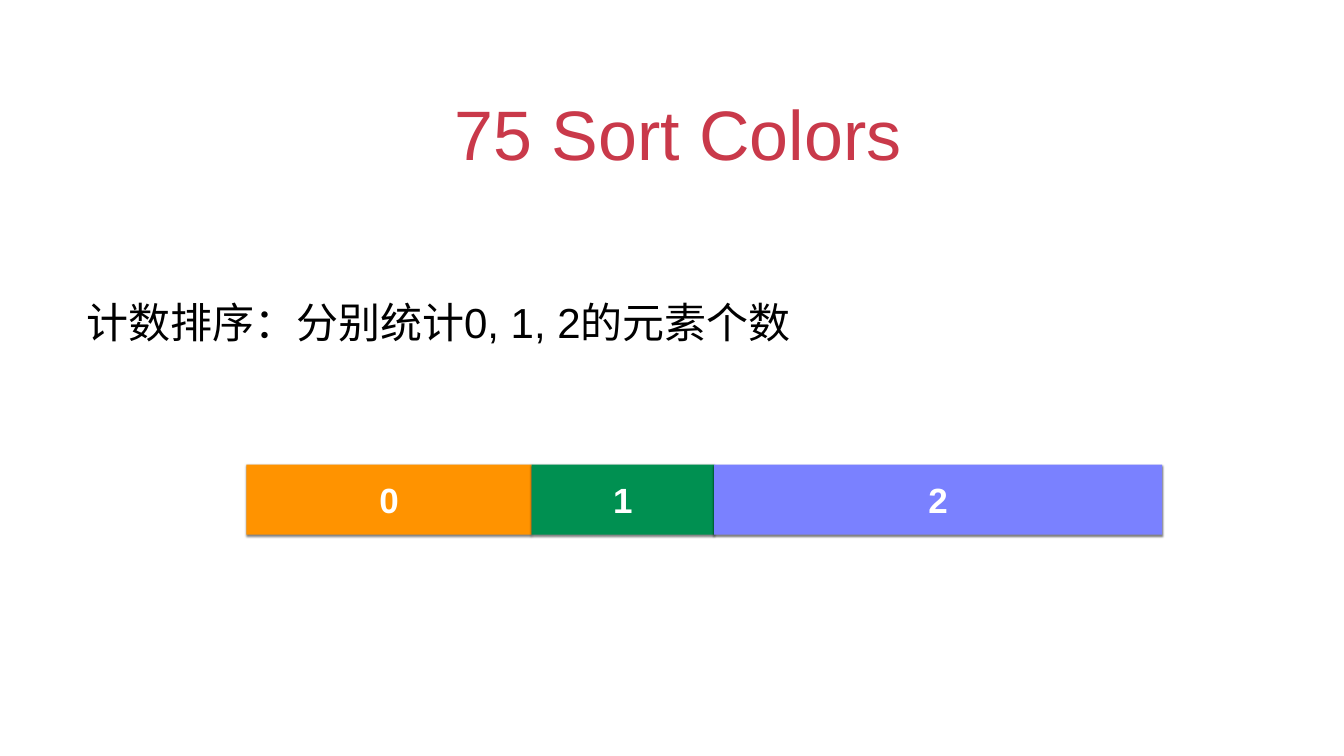
from lxml import etree
from pptx import Presentation
from pptx.dml.color import RGBColor
from pptx.enum.shapes import MSO_SHAPE
from pptx.enum.text import MSO_ANCHOR, MSO_AUTO_SIZE, PP_ALIGN
from pptx.oxml.ns import qn
from pptx.util import Inches, Pt

RECT = MSO_SHAPE.RECTANGLE
LEFT, CENTER = PP_ALIGN.LEFT, PP_ALIGN.CENTER
MIDDLE, BOTTOM = MSO_ANCHOR.MIDDLE, MSO_ANCHOR.BOTTOM
GROW = MSO_AUTO_SIZE.SHAPE_TO_FIT_TEXT

RED = RGBColor(0xC9, 0x39, 0x4A)
BLACK = RGBColor(0, 0, 0)
WHITE = RGBColor(0xFF, 0xFF, 0xFF)
ORANGE = RGBColor(0xFF, 0x93, 0x00)
GREEN = RGBColor(0x00, 0x90, 0x51)
VIOLET = RGBColor(0x7A, 0x81, 0xFF)


class Painter:
    font = "Arial"
    inset = Inches(0.06)

    def __init__(self, slide):
        self.slide = slide

    def letter(self, shape, text, size, color, align, anchor, bold=False):
        frame = shape.text_frame
        form = {"word_wrap": True, "vertical_anchor": anchor}
        for side in ("left", "top", "right", "bottom"):
            form["margin_" + side] = self.inset
        for name, value in form.items():
            setattr(frame, name, value)
        par = frame.paragraphs[0]
        par.alignment = align
        run = par.add_run()
        run.text = text
        look = {"name": self.font, "size": Pt(size), "bold": bold}
        for name, value in look.items():
            setattr(run.font, name, value)
        run.font.color.rgb = color
        return par

    def label(self, box, text, size, color, align, anchor):
        shape = self.slide.shapes.add_textbox(*map(Inches, box))
        return shape, self.letter(shape, text, size, color, align, anchor)

    def block(self, box, text, fill):
        shape = self.slide.shapes.add_shape(RECT, *map(Inches, box))
        shape.fill.solid()
        shape.fill.fore_color.rgb = fill
        shape.line.fill.background()
        self.shade(shape)
        self.letter(shape, text, 50, WHITE, CENTER, MIDDLE, bold=True)

    def shade(self, shape):
        """Soft black shadow falling straight down."""
        shape.shadow.inherit = False
        effects = shape._element.spPr.find(qn("a:effectLst"))
        outer = etree.SubElement(effects, qn("a:outerShdw"))
        form = {"blurRad": Pt(3), "dist": Pt(2), "dir": 90 * 60000,
                "rotWithShape": 0}
        for name, value in form.items():
            outer.set(name, str(int(value)))
        color = etree.SubElement(outer, qn("a:srgbClr"), val="000000")
        etree.SubElement(color, qn("a:alpha"), val="50000")


def main():
    deck = Presentation()
    deck.slide_width, deck.slide_height = Inches(26.67), Inches(15)
    paint = Painter(deck.slides.add_slide(deck.slide_layouts[6]))

    # Title, with a first-line indent
    _, par = paint.label((1.94, 1.3, 22.78, 2.22), "75 Sort Colors",
                         100, RED, CENTER, BOTTOM)
    par._p.get_or_add_pPr().set("indent", str(Inches(0.25)))

    # Method
    shape, par = paint.label((1.65, 5.5, 22.78, 1.28),
                             "计数排序：分别统计0, 1, 2的元素个数",
                             60, BLACK, LEFT, MIDDLE)
    par.line_spacing = 1.5
    shape.text_frame.auto_size = GROW

    # Sorted array: one block per value, end to end
    left = 4.89
    blocks = ((5.66, ORANGE), (3.62, GREEN), (8.89, VIOLET))
    for value, (width, fill) in enumerate(blocks):
        paint.block((left, 9.22, width, 1.39), str(value), fill)
        left += width

    deck.save("out.pptx")


if __name__ == "__main__":
    main()
